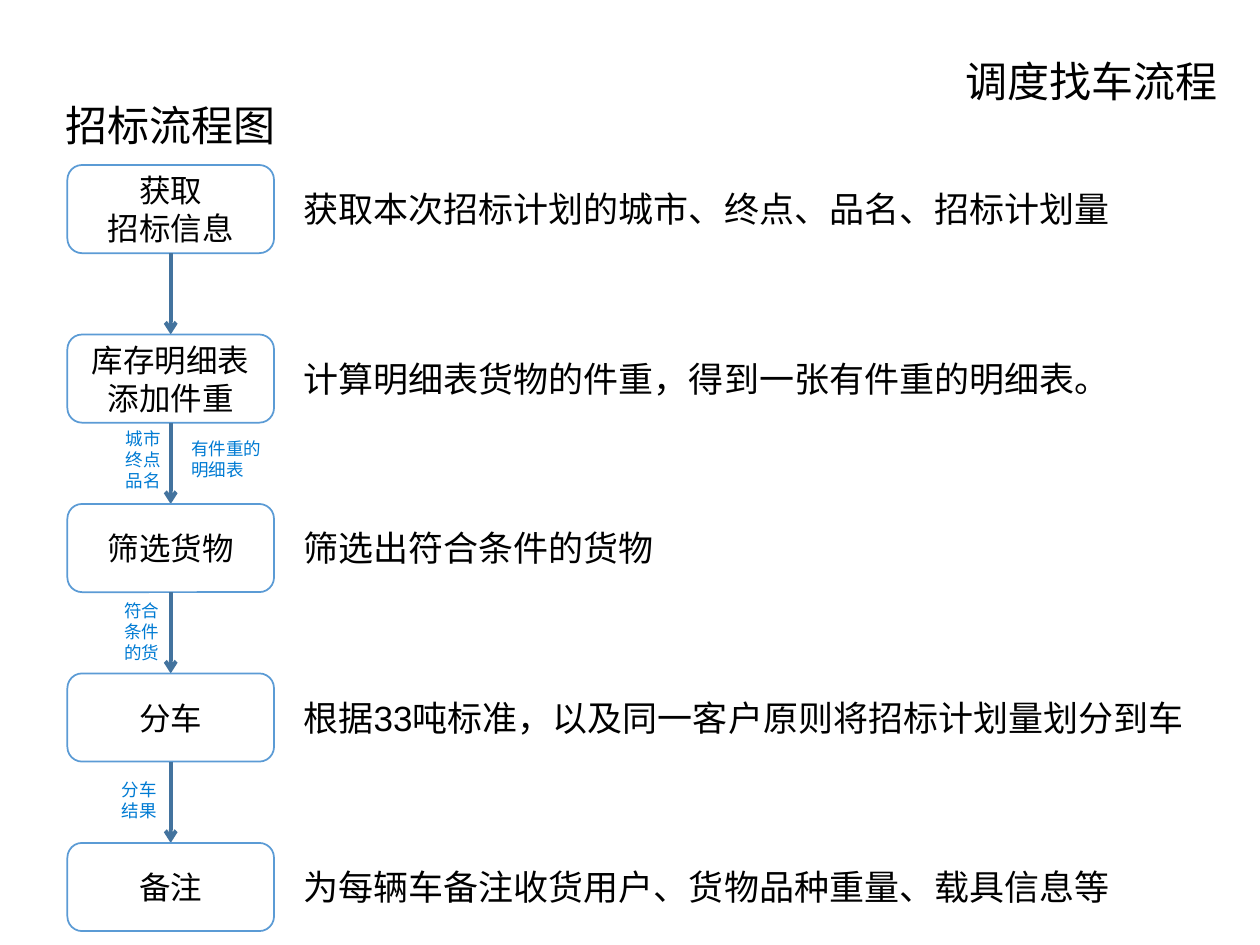
from dataclasses import dataclass

from lxml import etree
from pptx import Presentation, util as u
from pptx.dml.color import RGBColor
from pptx.enum import shapes, text
from pptx.oxml import ns


@dataclass(frozen=True)
class Theme:
    font: str = "Arial"
    ink: str = "000000"
    paper: str = "FFFFFF"
    outline: str = "5B9BD5"
    arrow: str = "43739E"
    label: str = "007BD3"
    heading_size: int = 24
    note_size: int = 20
    step_size: int = 18
    label_size: int = 10


THEME = Theme()
STEP_LEFT, STEP_TOP = 0.535, 1.31
STEP_WIDTH, STEP_HEIGHT = 1.64, 0.7
ROW_PITCH = 1.345
NOTE_LEFT, NOTE_WIDTH, NOTE_HEIGHT = 2.31, 7.2, 0.44

STEPS = [
    ("获取\n招标信息", "获取本次招标计划的城市、终点、品名、招标计划量"),
    ("库存明细表添加件重", "计算明细表货物的件重，得到一张有件重的明细表。"),
    ("筛选货物", "筛选出符合条件的货物"),
    ("分车", "根据33吨标准，以及同一客户原则将招标计划量划分到车"),
    ("备注", "为每辆车备注收货用户、货物品种重量、载具信息等"),
]
LABELS = [
    ("城市\n终点\n品名", 0.9, 3.35, 0.62, 0.6),
    ("有件重的明细表", 1.42, 3.43, 0.83, 0.44),
    ("符合条件的货", 0.89, 4.71, 0.5, 0.6),
    ("分车结果", 0.87, 6.13, 0.5, 0.44),
]


def color(value):
    return RGBColor.from_string(value)


def inches(*lengths):
    return [u.Inches(length) for length in lengths]


def write(shape, words, size, ink=THEME.ink, align=text.PP_ALIGN.LEFT,
          anchor=text.MSO_ANCHOR.TOP, spacing=1.0):
    frame = shape.text_frame
    frame.text = words
    frame.word_wrap = True
    frame.auto_size = text.MSO_AUTO_SIZE.NONE
    frame.vertical_anchor = anchor
    for para in frame.paragraphs:
        para.alignment = align
        para.line_spacing = spacing
        for span in para.runs:
            span.font.name = THEME.font
            span.font.size = u.Pt(size)
            span.font.color.rgb = color(ink)


def add_title(page, words):
    title = page.shapes.title
    title.left, title.top, title.width, title.height = inches(5.01, 0.27, 4.75, 0.57)
    write(title, words, THEME.heading_size, align=text.PP_ALIGN.RIGHT, spacing=1.3)


def add_text(page, words, left, top, width, height, size, ink=THEME.ink):
    box = page.shapes.add_textbox(*inches(left, top, width, height))
    write(box, words, size, ink)


def add_step(page, words, top):
    box = page.shapes.add_shape(
        shapes.MSO_SHAPE.ROUNDED_RECTANGLE,
        *inches(STEP_LEFT, top, STEP_WIDTH, STEP_HEIGHT))
    box.shadow.inherit = False
    box.fill.solid()
    box.fill.fore_color.rgb = color(THEME.paper)
    box.line.color.rgb = color(THEME.outline)
    box.line.width = u.Pt(1)
    write(box, words, THEME.step_size, align=text.PP_ALIGN.CENTER,
          anchor=text.MSO_ANCHOR.MIDDLE)


def add_arrow(page, start, end):
    center = STEP_LEFT + STEP_WIDTH / 2
    arrow = page.shapes.add_connector(
        shapes.MSO_CONNECTOR.STRAIGHT, *inches(center, start, center, end))
    arrow.line.color.rgb = color(THEME.arrow)
    arrow.line.width = u.Pt(2.25)
    etree.SubElement(arrow.line._get_or_add_ln(), ns.qn("a:tailEnd"), type="arrow")
    etree.SubElement(arrow._element.spPr, ns.qn("a:effectLst"))


def main():
    deck = Presentation()
    deck.slide_width, deck.slide_height = inches(10, 7.5)
    page = deck.slides.add_slide(deck.slide_layouts.get_by_name("Title Only"))

    add_title(page, "调度找车流程")
    add_text(page, "招标流程图", 0.42, 0.74, 1.87, 0.5, THEME.heading_size)

    for row, (step, note) in enumerate(STEPS):
        top = STEP_TOP + row * ROW_PITCH
        if row:
            add_arrow(page, top - ROW_PITCH + STEP_HEIGHT, top)
        add_step(page, step, top)
        note_top = top + (STEP_HEIGHT - NOTE_HEIGHT) / 2
        add_text(page, note, NOTE_LEFT, note_top, NOTE_WIDTH, NOTE_HEIGHT,
                 THEME.note_size)

    for words, *place in LABELS:
        add_text(page, words, *place, THEME.label_size, THEME.label)

    deck.save("out.pptx")


if __name__ == "__main__":
    main()
